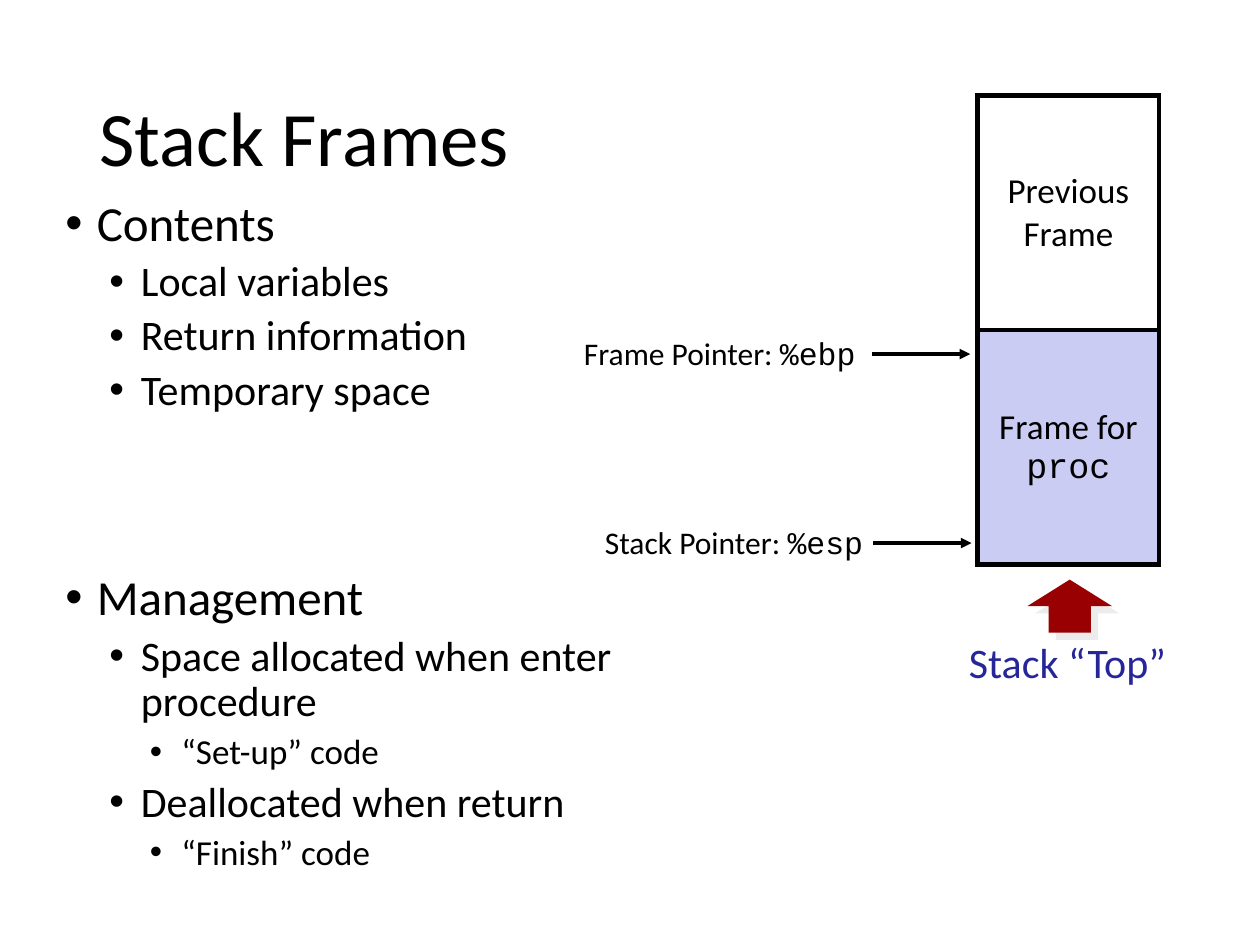
from lxml import etree
from pptx import Presentation
from pptx.dml.color import RGBColor
from pptx.enum import shapes, text
from pptx.oxml import parse_xml
from pptx.oxml.ns import nsdecls, qn
from pptx.util import Inches, Pt

BLACK = RGBColor(0x00, 0x00, 0x00)
FRAME_FILL = RGBColor(0xCB, 0xCC, 0xF3)
TOP_BLUE = RGBColor(0x26, 0x26, 0x99)
ARROW_RED = RGBColor(0x98, 0x00, 0x02)
SANS, MONO = "Calibri", "Courier New"

# Size, space before and left margin of each outline level
LEVELS = [(28, 10, 0.25), (24, 5, 0.6), (20, 5, 0.92)]
MANAGEMENT_GAP = 91
OUTLINE = [
    (0, "Contents"),
    (1, "Local variables"),
    (1, "Return information"),
    (1, "Temporary space"),
    (0, "Management"),
    (1, "Space allocated when enter procedure"),
    (2, "“Set-up” code"),
    (1, "Deallocated when return"),
    (2, "“Finish” code"),
]


def write(paragraph, label, code="", size=18, color=BLACK, align=text.PP_ALIGN.LEFT,
          spacing=None, before=0):
    """Fill a paragraph with a label, then code in the monospaced font."""
    paragraph.alignment = align
    paragraph.space_before = Pt(before)
    if spacing:
        paragraph.line_spacing = spacing
    for index, line in enumerate(label.split("\n")):
        if index:
            paragraph.add_line_break()
        if line:
            add_run(paragraph, line, SANS, size, color)
    if code:
        add_run(paragraph, code, MONO, size, color)


def add_run(paragraph, words, face, size, color):
    run = paragraph.add_run()
    run.text = words
    run.font.name, run.font.size, run.font.bold = face, Pt(size), False
    run.font.color.rgb = color


def add_box(slide, left, top, width, height, inset=0.04, wrap=True):
    box = slide.shapes.add_textbox(Inches(left), Inches(top), Inches(width), Inches(height))
    frame = box.text_frame
    frame.word_wrap = wrap
    frame.margin_left = frame.margin_right = Inches(inset)
    frame.margin_top = frame.margin_bottom = Inches(0.04)
    return frame


def add_title(slide, left, top, width, height):
    title = slide.shapes.title
    title.left, title.top = Inches(left), Inches(top)
    title.width, title.height = Inches(width), Inches(height)
    title.text_frame.vertical_anchor = text.MSO_ANCHOR.MIDDLE
    write(title.text_frame.paragraphs[0], "Stack Frames", size=44, spacing=0.9)


def add_outline(slide, left, top, width, height):
    frame = add_box(slide, left, top, width, height, inset=0.1)
    frame.margin_top = frame.margin_bottom = Inches(0.05)
    for index, (level, words) in enumerate(OUTLINE):
        size, before, margin = LEVELS[level]
        if index == 0:
            before = 0
        elif words == "Management":
            before = MANAGEMENT_GAP
        paragraph = frame.add_paragraph() if index else frame.paragraphs[0]
        paragraph.level = level
        properties = paragraph._p.get_or_add_pPr()
        properties.set("marL", str(Inches(margin)))
        properties.set("indent", str(-Inches(0.25)))
        etree.SubElement(properties, qn("a:buFont"), typeface="Arial")
        etree.SubElement(properties, qn("a:buChar"), char="•")
        write(paragraph, words, size=size, spacing=0.9, before=before)


def add_pointer(slide, label, register, left, top, arrow_left):
    """Right-aligned register label with an arrow level with its middle."""
    width, height, arrow_length = 2.67, 0.4, 0.78
    frame = add_box(slide, left, top, width, height)
    write(frame.paragraphs[0], label, register, align=text.PP_ALIGN.RIGHT)

    middle = Inches(top + height / 2)
    arrow = slide.shapes.add_connector(
        shapes.MSO_CONNECTOR.STRAIGHT, Inches(arrow_left), middle,
        Inches(arrow_left + arrow_length), middle)
    arrow.line.color.rgb = BLACK
    arrow.line.width = Pt(2)
    etree.SubElement(arrow.line._get_or_add_ln(), qn("a:tailEnd"), type="triangle")
    etree.SubElement(arrow._element.spPr, qn("a:effectLst"))


def add_borders(cell):
    properties = cell._tc.get_or_add_tcPr()
    for index, side in enumerate("LRTB"):
        properties.insert(index, parse_xml(
            f'<a:ln{side} {nsdecls("a")} w="{Pt(3)}"><a:solidFill>'
            f'<a:srgbClr val="{BLACK}"/></a:solidFill></a:ln{side}>'))


def add_stack(slide, left, top, width, height):
    frames = [("Previous Frame", "", None), ("Frame for\n", "proc", FRAME_FILL)]
    table = slide.shapes.add_table(len(frames), 1, Inches(left), Inches(top),
                                   Inches(width), Inches(height)).table
    table.first_row = table.horz_banding = False
    for index, (label, code, fill) in enumerate(frames):
        cell = table.cell(index, 0)
        cell.margin_left = cell.margin_right = Inches(0.06)
        cell.margin_top = cell.margin_bottom = Inches(0.06)
        cell.vertical_anchor = text.MSO_ANCHOR.MIDDLE
        if fill is None:
            cell.fill.background()
        else:
            cell.fill.solid()
            cell.fill.fore_color.rgb = fill
        add_borders(cell)
        write(cell.text_frame.paragraphs[0], label, code, size=20,
              align=text.PP_ALIGN.CENTER)


def add_stack_top(slide, left, top, width):
    """Red up arrow with a soft shadow, and its caption below."""
    arrow_width, arrow_height = 0.67, 0.42
    arrow = slide.shapes.add_shape(
        shapes.MSO_SHAPE.UP_ARROW, Inches(left + (width - arrow_width) / 2 - 0.01),
        Inches(top), Inches(arrow_width), Inches(arrow_height))
    arrow.fill.solid()
    arrow.fill.fore_color.rgb = ARROW_RED
    arrow.line.fill.background()
    arrow.shadow.inherit = False
    arrow._element.spPr.find(qn("a:effectLst")).append(parse_xml(
        f'<a:outerShdw {nsdecls("a")} dist="{Pt(6)}" dir="2700000" algn="ctr">'
        '<a:srgbClr val="E7E6E6"><a:alpha val="75000"/></a:srgbClr></a:outerShdw>'))

    caption = add_box(slide, left, top + arrow_height - 0.01, width, 0.49, wrap=False)
    write(caption.paragraphs[0], "Stack “Top”", size=24, color=TOP_BLUE)


def main():
    deck = Presentation()
    deck.slide_width, deck.slide_height = Inches(10), Inches(7.5)
    slide = deck.slides.add_slide(deck.slide_layouts.get_by_name("Title Only"))
    add_title(slide, 0.69, 0.4, 8.62, 1.45)
    add_outline(slide, 0.42, 1.53, 5.08, 5.94)
    add_pointer(slide, "Frame Pointer: ", "%ebp", 4.16, 2.61, arrow_left=6.92)
    add_pointer(slide, "Stack Pointer: ", "%esp", 4.22, 4.11, arrow_left=6.93)
    add_stack_top(slide, 7.65, 4.6, 1.7)
    add_stack(slide, 7.76, 0.76, 1.44, 3.72)
    deck.save("out.pptx")


if __name__ == "__main__":
    main()
